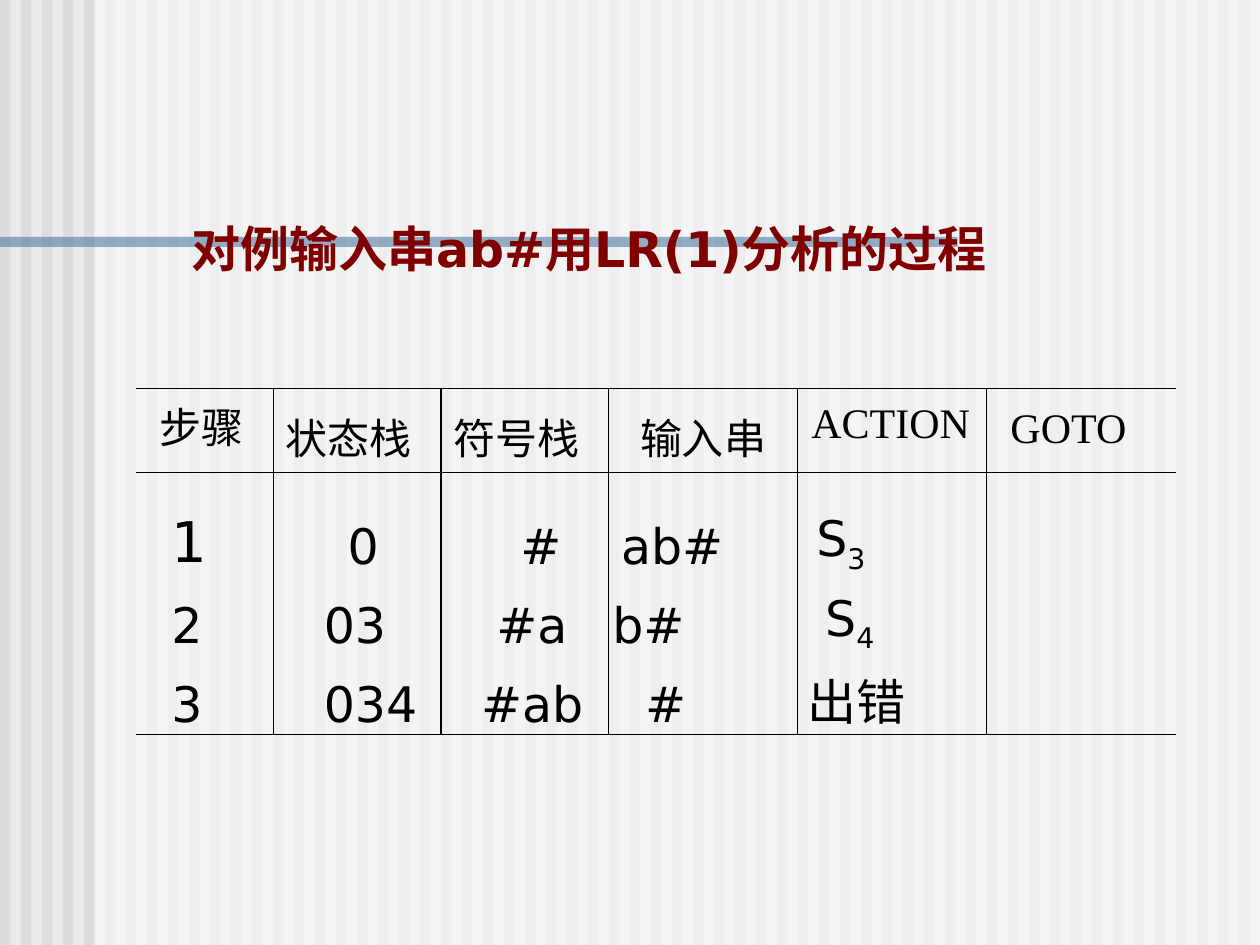
from lxml import etree
from pptx import Presentation
from pptx.dml.color import RGBColor
from pptx.enum.shapes import MSO_SHAPE
from pptx.enum.text import MSO_ANCHOR, PP_ALIGN
from pptx.oxml.ns import qn
from pptx.util import Inches, Pt

RECTANGLE = MSO_SHAPE.RECTANGLE
TOP, BOTTOM = MSO_ANCHOR.TOP, MSO_ANCHOR.BOTTOM
LEFT = PP_ALIGN.LEFT
TITLE_ONLY_LAYOUT = 5
WIDTH, HEIGHT = 10, 7.5
STRIPE_COUNT = 60
BODY_FONT, HEADER_FONT = "DejaVu Sans", "Times New Roman"

TABLE_LEFT, TABLE_TOP = 1.08, 3.08
COLUMN_WIDTHS = [1.09, 1.33, 1.33, 1.5, 1.5, 1.5]
ROW_HEIGHTS = [0.67, 0.82, 0.63, 0.63]

# Each header cell: text, left inset, top inset
HEADERS = [
    ("步骤", 0.19, 0.05), ("状态栈", 0.1, 0.14), ("符号栈", 0.1, 0.14),
    ("输入串", 0.25, 0.14), ("ACTION", 0.11, 0.1), ("GOTO", 0.19, 0.14),
]
# Each step cell: text, subscript, left inset
STEPS = [
    [("1", "", 0.28), ("0", "", 0.59), ("#", "", 0.63), ("ab#", "", 0.1), ("S", "3", 0.15)],
    [("2", "", 0.28), ("03", "", 0.4), ("#a", "", 0.44), ("b#", "", 0.03), ("S", "4", 0.22)],
    [("3", "", 0.28), ("034", "", 0.4), ("#ab", "", 0.32), ("#", "", 0.29), ("出错", "", 0.08)],
]


def color(hex_string):
    return RGBColor.from_string(hex_string)


def add_band(slide, left, top, width, height, fill, opacity=100):
    """Add a borderless rectangle, with opacity in percent."""
    shape = slide.shapes.add_shape(
        RECTANGLE, Inches(left), Inches(top), Inches(width), Inches(height))
    shape.shadow.inherit = False
    shape.line.fill.background()
    shape.fill.solid()
    shape.fill.fore_color.rgb = color(fill)
    if opacity < 100:
        for value in shape.element.spPr.iter(qn("a:srgbClr")):
            etree.SubElement(value, qn("a:alpha"), val=str(opacity * 1000))


def add_background(slide):
    slide.background.fill.solid()
    slide.background.fill.fore_color.rgb = color("EAEAEA")
    pitch = WIDTH / STRIPE_COUNT
    for index in range(STRIPE_COUNT):
        add_band(slide, index * pitch, 0, pitch / 2, HEIGHT, "DDDDDD")
    add_band(slide, 0.75, 0, WIDTH - 0.75, HEIGHT, "FFFFFF", 50)
    add_band(slide, 0, 1.88, 7.6, 0.08, "336699", 50)


def add_run(paragraph, text, size, font_name, hex_string="000000", bold=False):
    run = paragraph.add_run()
    run.text = text
    run.font.size = Pt(size)
    run.font.name = font_name
    run.font.bold = bold
    run.font.color.rgb = color(hex_string)
    return run


def add_title(slide, text):
    title = slide.shapes.title
    title.left, title.top = Inches(1.25), Inches(1.68)
    title.width, title.height = Inches(7.5), Inches(0.57)
    slide.shapes.element.append(title.element)  # in front of the background
    frame = title.text_frame
    frame.word_wrap = True
    frame.vertical_anchor = BOTTOM
    frame.margin_left = Inches(0.27)
    paragraph = frame.paragraphs[0]
    paragraph.alignment = LEFT
    add_run(paragraph, text, 28, BODY_FONT, "800000", True)


def set_borders(cell, sides):
    """Draw thin black borders on the named sides and hide the others."""
    properties = cell._tc.get_or_add_tcPr()
    for index, side in enumerate("LRTB"):
        line = etree.Element(qn(f"a:ln{side}"), w=str(Pt(0.75)))
        if side in sides:
            fill = etree.SubElement(line, qn("a:solidFill"))
            etree.SubElement(fill, qn("a:srgbClr"), val="000000")
        else:
            etree.SubElement(line, qn("a:noFill"))
        properties.insert(index, line)


def format_cell(cell, row, column):
    cell.fill.background()
    cell.margin_left = cell.margin_right = 0
    cell.margin_top = cell.margin_bottom = 0
    cell.vertical_anchor = BOTTOM if row else TOP
    sides = "L" if column > 0 else ""
    if column < len(COLUMN_WIDTHS) - 1:
        sides += "R"
    if row <= 1:
        sides += "T"
    if row in (0, len(ROW_HEIGHTS) - 1):
        sides += "B"
    set_borders(cell, sides)


def fill_header(table):
    for column, (text, left, top) in enumerate(HEADERS):
        cell = table.cell(0, column)
        cell.margin_left, cell.margin_top = Inches(left), Inches(top)
        add_run(cell.text_frame.paragraphs[0], text, 24, HEADER_FONT)


def fill_steps(table):
    for row, step in enumerate(STEPS, start=1):
        for column, (text, subscript, left) in enumerate(step):
            cell = table.cell(row, column)
            cell.margin_left = Inches(left)
            paragraph = cell.text_frame.paragraphs[0]
            paragraph.line_spacing = Pt(32)
            add_run(paragraph, text, 32 if text == "1" else 28, BODY_FONT)
            if subscript:
                run = add_run(paragraph, subscript, 28, BODY_FONT)
                run.font._element.set("baseline", "-25000")


def add_analysis_table(slide):
    frame = slide.shapes.add_table(
        len(ROW_HEIGHTS), len(COLUMN_WIDTHS), Inches(TABLE_LEFT), Inches(TABLE_TOP),
        Inches(sum(COLUMN_WIDTHS)), Inches(sum(ROW_HEIGHTS)))
    table = frame.table
    table.first_row = table.horz_banding = False
    for column, width in zip(table.columns, COLUMN_WIDTHS):
        column.width = Inches(width)
    for row, height in zip(table.rows, ROW_HEIGHTS):
        row.height = Inches(height)
    for row in range(len(ROW_HEIGHTS)):
        for column in range(len(COLUMN_WIDTHS)):
            format_cell(table.cell(row, column), row, column)
    fill_header(table)
    fill_steps(table)


def main():
    presentation = Presentation()
    presentation.slide_width, presentation.slide_height = Inches(WIDTH), Inches(HEIGHT)
    slide = presentation.slides.add_slide(presentation.slide_layouts[TITLE_ONLY_LAYOUT])
    add_background(slide)
    add_title(slide, "对例输入串ab#用LR(1)分析的过程")
    add_analysis_table(slide)
    presentation.save("out.pptx")


if __name__ == "__main__":
    main()
